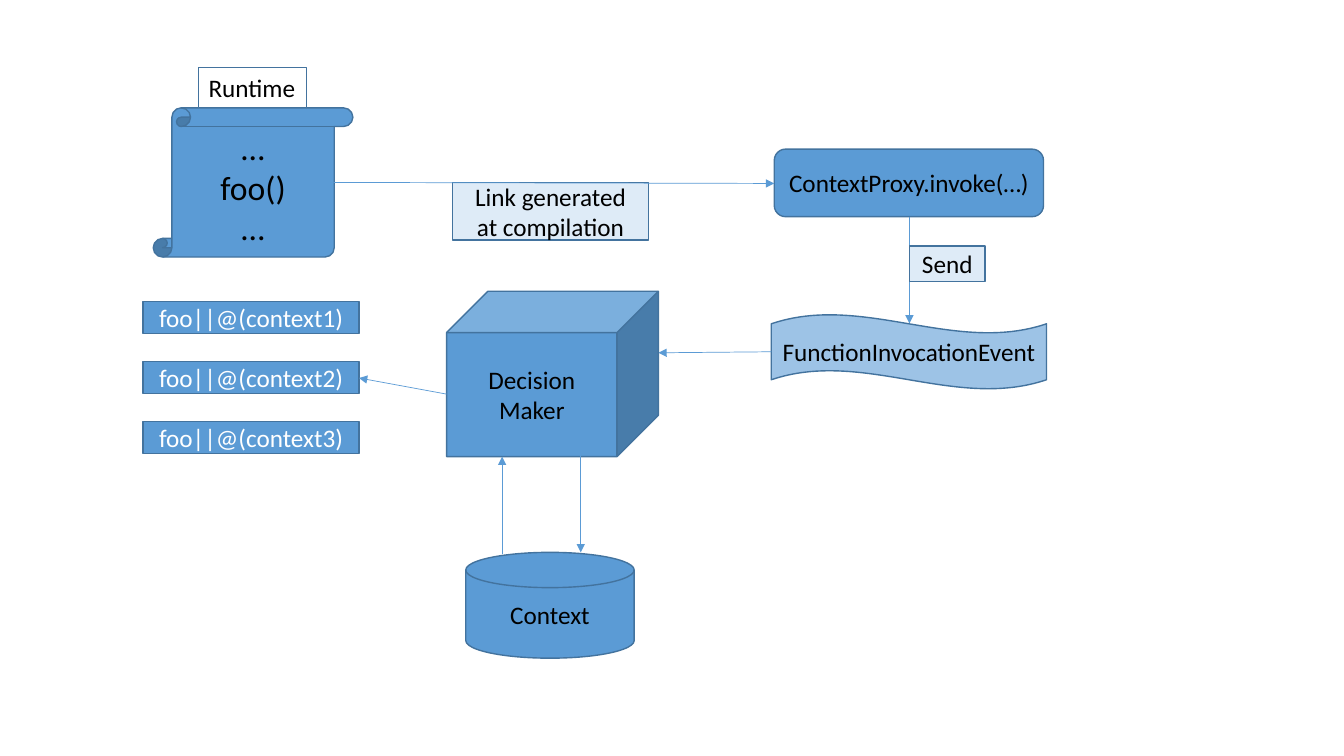
from dataclasses import dataclass

from lxml import etree
from pptx import Presentation
from pptx import util as u
from pptx.dml.color import RGBColor
from pptx.enum import shapes, text
from pptx.oxml.ns import qn

Kind = shapes.MSO_SHAPE


@dataclass(frozen=True)
class Theme:
    font: str = "Calibri"
    body: float = 18
    code: float = 24
    border_width: float = 1
    arrow_width: float = 0.5
    black: str = "000000"
    white: str = "FFFFFF"
    blue: str = "5B9BD5"
    light_blue: str = "9DC3E6"
    pale_blue: str = "DEEBF7"
    border: str = "43739E"


class Diagram:
    """Draws on one slide, on a grid with ten columns and ten rows to the inch."""

    CELL = u.Inches(0.1)

    def __init__(self, page, theme):
        self.page = page
        self.theme = theme

    def grid(self, *cells):
        return [round(cell * self.CELL) for cell in cells]

    def node(self, kind, words, place, fill, color=None, size=None, wrap=True):
        """Adds a bordered shape with centred text, one paragraph a line."""
        theme = self.theme
        box = self.page.shapes.add_shape(kind, *self.grid(*place))
        box.shadow.inherit = False
        box.fill.solid()
        box.fill.fore_color.rgb = RGBColor.from_string(fill)
        box.line.color.rgb = RGBColor.from_string(theme.border)
        box.line.width = u.Pt(theme.border_width)
        frame = box.text_frame
        frame.text = words
        frame.word_wrap = wrap
        frame.vertical_anchor = text.MSO_ANCHOR.MIDDLE
        for para in frame.paragraphs:
            para.alignment = text.PP_ALIGN.CENTER
            para.font.name = theme.font
            para.font.size = u.Pt(size or theme.body)
            para.font.color.rgb = RGBColor.from_string(color or theme.black)
        return box

    def tag(self, words, place):
        """Adds a white caption that hugs its text."""
        box = self.node(Kind.RECTANGLE, words, place, self.theme.white, wrap=False)
        box.text_frame.auto_size = text.MSO_AUTO_SIZE.SHAPE_TO_FIT_TEXT
        box.text_frame.vertical_anchor = text.MSO_ANCHOR.TOP
        box.text_frame.paragraphs[0].alignment = text.PP_ALIGN.LEFT

    def arrow(self, start, end):
        link = self.page.shapes.add_connector(
            shapes.MSO_CONNECTOR.STRAIGHT, *self.grid(*start, *end))
        link.line.color.rgb = RGBColor.from_string(self.theme.blue)
        link.line.width = u.Pt(self.theme.arrow_width)
        outline = link.line._get_or_add_ln()
        etree.SubElement(outline, qn("a:tailEnd"), type="triangle")
        etree.SubElement(link._element.spPr, qn("a:effectLst"))


def draw_runtime(diagram):
    theme = diagram.theme
    diagram.node(Kind.RECTANGLE, "Link generated at compilation",
                 (44.9, 18.1, 19.4, 5.7), theme.pale_blue)
    diagram.node(Kind.VERTICAL_SCROLL, "…\nfoo()\n…",
                 (15.2, 10.7, 19.8, 14.8), theme.blue, size=theme.code)
    diagram.tag("Runtime", (19.7, 6.7, 10.7, 4))


def draw_event(diagram):
    theme = diagram.theme
    diagram.node(Kind.ROUNDED_RECTANGLE, "ContextProxy.invoke(…)",
                 (76.8, 14.8, 26.7, 6.7), theme.blue)
    diagram.arrow((33.1, 18.1), (76.8, 18.2))
    diagram.node(Kind.WAVE, "FunctionInvocationEvent",
                 (76.5, 31.2, 27.3, 7.4), theme.light_blue, wrap=False)
    diagram.arrow((90.2, 21.5), (90.2, 32.1))
    diagram.node(Kind.RECTANGLE, "Send", (90.2, 24.4, 7.5, 3.5), theme.pale_blue)


def draw_decision(diagram):
    theme = diagram.theme
    diagram.arrow((76.5, 34.9), (65.3, 35))
    diagram.node(Kind.CUBE, "Decision Maker", (44.3, 28.9, 21, 16.4), theme.blue)
    for index in range(3):
        diagram.node(Kind.RECTANGLE, f"foo||@(context{index + 1})",
                     (14.2, 29.9 + 5.95 * index, 21.4, 3.2),
                     theme.blue, color=theme.white)
    diagram.arrow((44.3, 39.1), (35.6, 37.5))
    diagram.node(Kind.FLOWCHART_MAGNETIC_DISK, "Context",
                 (46.2, 54.8, 16.7, 10.5), theme.blue)
    diagram.arrow((57.6, 45), (57.6, 54.8))
    diagram.arrow((49.8, 55), (49.8, 45.3))


def main():
    deck = Presentation()
    deck.slide_width = u.Inches(13.33)
    deck.slide_height = u.Inches(7.5)
    page = deck.slides.add_slide(deck.slide_layouts[6])
    diagram = Diagram(page, Theme())
    draw_runtime(diagram)
    draw_event(diagram)
    draw_decision(diagram)
    deck.save("out.pptx")


if __name__ == "__main__":
    main()
